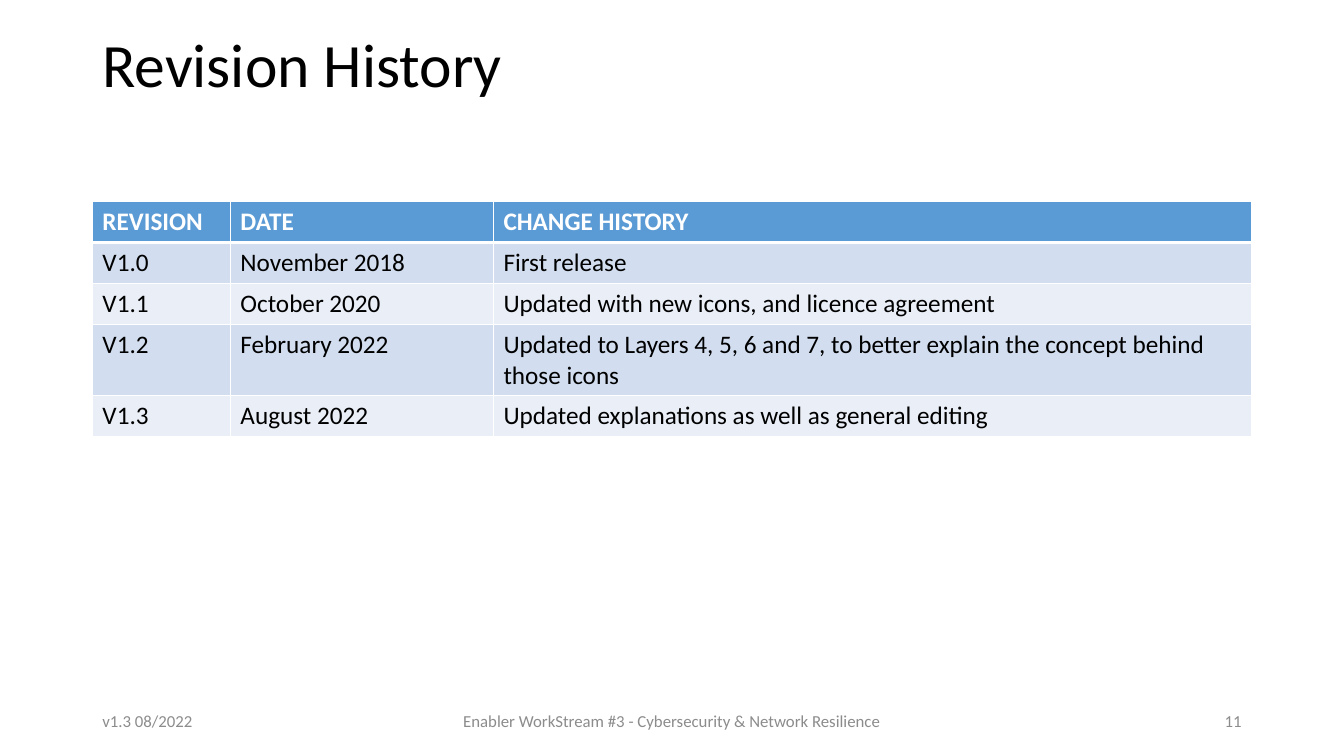
from lxml import etree
from pptx import Presentation
from pptx.dml.color import RGBColor
from pptx.enum.text import MSO_ANCHOR, PP_ALIGN
from pptx.oxml.ns import qn
from pptx.util import Pt

LEFT, CENTER, RIGHT = PP_ALIGN.LEFT, PP_ALIGN.CENTER, PP_ALIGN.RIGHT
MIDDLE = MSO_ANCHOR.MIDDLE

# Content
TITLE = "Revision History"
REVISIONS = [
    ("REVISION", "DATE", "CHANGE HISTORY"),
    ("V1.0", "November 2018", "First release"),
    ("V1.1", "October 2020", "Updated with new icons, and licence agreement"),
    ("V1.2", "February 2022", "Updated to Layers 4, 5, 6 and 7, to better explain "
                              "the concept behind those icons"),
    ("V1.3", "August 2022", "Updated explanations as well as general editing"),
]
# Footer: text, left, width, alignment
FOOTERS = [
    ("v1.3 08/2022", 66, 216, LEFT),
    ("Enabler WorkStream #3 - Cybersecurity & Network Resilience", 318, 324, CENTER),
    ("11", 678, 216, RIGHT),
]

# Layout and colours
FONT = "Calibri"
MARGIN, WIDTH = 66, 828
COL_WIDTHS = [98.6, 187.9, 541.5]
ROW_HEIGHTS = [29.2, 29.2, 29.2, 51.2, 29.2]
BLACK, WHITE, GREY = "000000", "FFFFFF", "8C8C8C"
HEADER_FILL, BAND_FILLS = "5B9BD5", ("EAEFF7", "D2DEEF")


def rgb(color):
    return RGBColor.from_string(color)


def style(p, size, color, bold=False):
    p.font.name, p.font.size, p.font.bold = FONT, Pt(size), bold
    p.font.color.rgb = rgb(color)


def add_text(s, text, left, top, width, height, size, color, align=LEFT):
    tf = s.shapes.add_textbox(Pt(left), Pt(top), Pt(width), Pt(height)).text_frame
    tf.word_wrap, tf.vertical_anchor = True, MIDDLE
    p = tf.paragraphs[0]
    p.text, p.alignment = text, align
    style(p, size, color)
    return p


def set_borders(cell, top, bottom):
    tc_pr = cell._tc.get_or_add_tcPr()
    sides = (("a:lnL", 1), ("a:lnR", 1), ("a:lnT", top), ("a:lnB", bottom))
    for i, (tag, width) in enumerate(sides):
        ln = etree.Element(qn(tag), w=str(int(Pt(width))))
        fill = etree.SubElement(ln, qn("a:solidFill"))
        etree.SubElement(fill, qn("a:srgbClr"), val=WHITE)
        tc_pr.insert(i, ln)


prs = Presentation()
prs.slide_width, prs.slide_height = Pt(960), Pt(540)
s = prs.slides.add_slide(prs.slide_layouts[6])

# Title
p = add_text(s, TITLE, MARGIN, 13.7, WIDTH, 68.4, 44, BLACK)
p.line_spacing = 0.9

# Revision table
table = s.shapes.add_table(len(REVISIONS), len(COL_WIDTHS), Pt(MARGIN), Pt(144),
                           Pt(WIDTH), Pt(sum(ROW_HEIGHTS))).table
for column, width in zip(table.columns, COL_WIDTHS):
    column.width = Pt(width)
for r, (row, height) in enumerate(zip(REVISIONS, ROW_HEIGHTS)):
    table.rows[r].height = Pt(height)
    header = r == 0
    for c, text in enumerate(row):
        cell = table.cell(r, c)
        cell.text = text
        style(cell.text_frame.paragraphs[0], 18, WHITE if header else BLACK, header)
        cell.fill.solid()
        cell.fill.fore_color.rgb = rgb(HEADER_FILL if header else BAND_FILLS[r % 2])
        set_borders(cell, 3 if r == 1 else 1, 3 if header else 1)

# Footer
for text, left, width, align in FOOTERS:
    add_text(s, text, left, 500.5, width, 28.8, 12, GREY, align)

prs.save("out.pptx")
